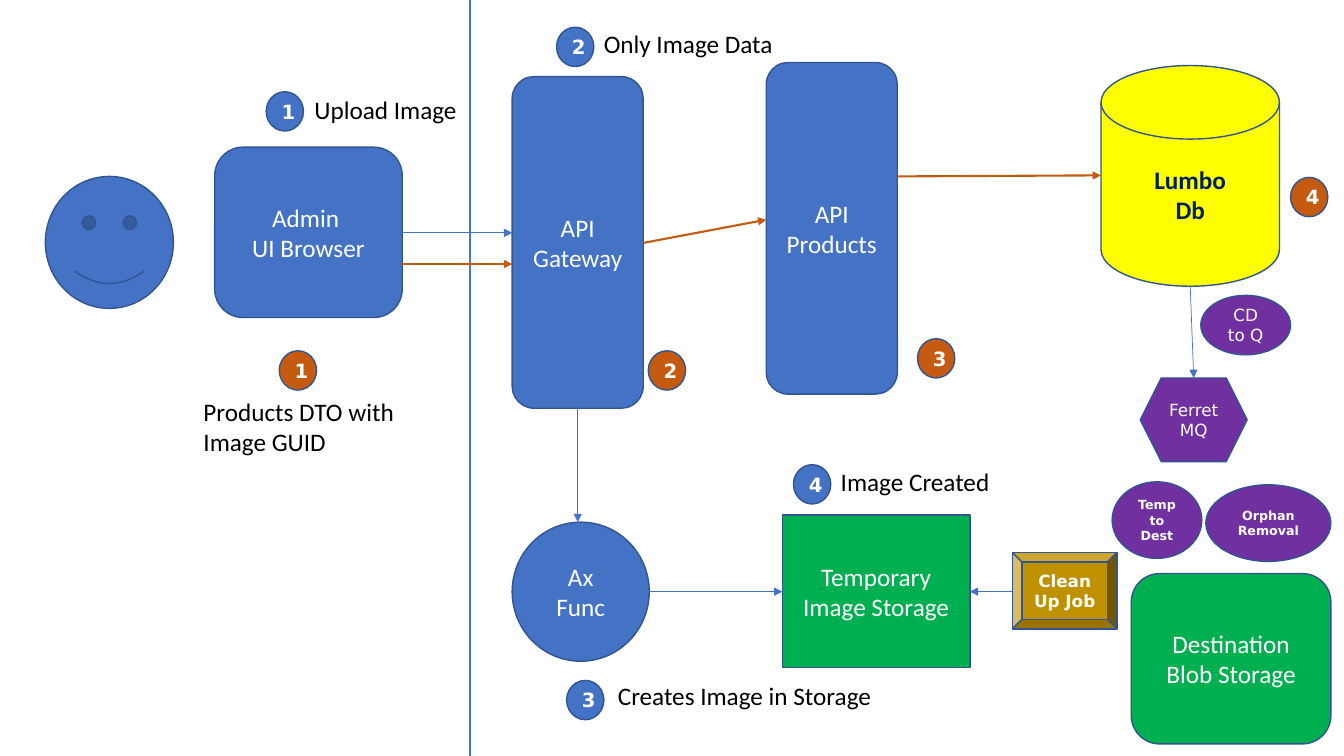
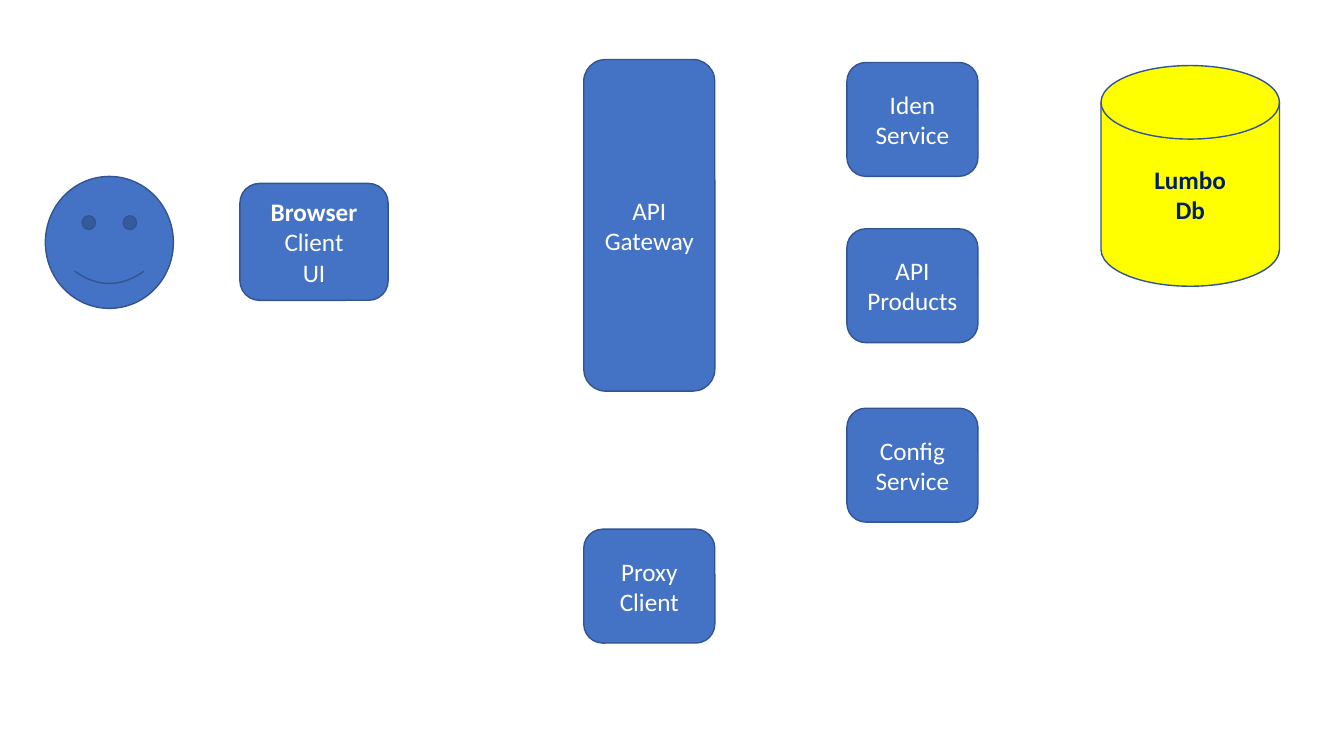
import dataclasses

import pptx
import pptx.dml.color
import pptx.enum.shapes
import pptx.enum.text
import pptx.oxml.ns
import pptx.util
from lxml import etree

SHAPE = pptx.enum.shapes.MSO_SHAPE
ALIGN = pptx.enum.text.PP_ALIGN
ANCHOR = pptx.enum.text.MSO_ANCHOR
Inches = pptx.util.Inches


@dataclasses.dataclass(frozen=True)
class Theme:
    blue: str = "4472C4"
    outline: str = "325491"
    orange: str = "C55A11"
    green: str = "00B050"
    yellow: str = "FFFF00"
    gold: str = "BF9000"
    purple: str = "7030A0"
    navy: str = "002060"
    white: str = "FFFFFF"
    black: str = "000000"
    body_font: str = "Calibri"
    badge_font: str = "DejaVu Sans"
    body_size: float = 18
    badge_size: float = 14
    job_size: float = 12
    note_size: float = 9
    outline_width: float = 1
    thin_line: float = 0.5
    thick_line: float = 1.5


@dataclasses.dataclass(frozen=True)
class Box:
    left: float
    top: float
    width: float
    height: float

    @property
    def right(self):
        return self.left + self.width

    @property
    def bottom(self):
        return self.top + self.height

    @property
    def center(self):
        return self.left + self.width / 2

    def lengths(self):
        return [Inches(value) for value in dataclasses.astuple(self)]

    def inside(self, left, top, width, height):
        """Box whose corner is measured from this box's corner."""
        return Box(self.left + left, self.top + top, width, height)


THEME = Theme()
SLIDE = Box(0, 0, 13.33, 7.5)
USER = Box(0.45, 1.75, 1.27, 1.31)
DATABASE = Box(10.92, 0.65, 1.77, 2.19)
TIER_SIZE = (1.3, 3.29)
SERVICE_SIZE = (1.3, 1.13)
BADGE_SIZE = (0.37, 0.39)


def rgb(color):
    return pptx.dml.color.RGBColor.from_string(color)


def write(shape, text, size, font, color, bold=False, align=ALIGN.CENTER):
    shape.text_frame.text = text
    for paragraph in shape.text_frame.paragraphs:
        paragraph.alignment = align
        for run in paragraph.runs:
            run.font.size = pptx.util.Pt(size)
            run.font.name = font
            run.font.color.rgb = rgb(color)
            run.font.bold = bold


def add_node(slide, kind, box, text="", fill=THEME.blue, size=THEME.body_size,
             font=THEME.body_font, color=THEME.white, bold=False):
    shape = slide.shapes.add_shape(kind, *box.lengths())
    shape.shadow.inherit = False
    shape.fill.solid()
    shape.fill.fore_color.rgb = rgb(fill)
    shape.line.color.rgb = rgb(THEME.outline)
    shape.line.width = pptx.util.Pt(THEME.outline_width)
    shape.text_frame.vertical_anchor = ANCHOR.MIDDLE
    if text:
        write(shape, text, size, font, color, bold)
    return shape


def add_service(slide, box, text):
    return add_node(slide, SHAPE.ROUNDED_RECTANGLE, box, text)


def add_job(slide, kind, box, text, fill=THEME.purple, size=THEME.job_size, bold=False):
    add_node(slide, kind, box, text, fill, size, THEME.badge_font, bold=bold)


def add_label(slide, box, text):
    label = slide.shapes.add_textbox(*box.lengths())
    label.text_frame.word_wrap = True
    write(label, text, THEME.body_size, THEME.body_font, THEME.black, align=ALIGN.LEFT)


def add_badge(slide, left, top, number, fill):
    add_node(slide, SHAPE.OVAL, Box(left, top, *BADGE_SIZE), str(number), fill,
             THEME.badge_size, THEME.badge_font, bold=True)


def add_line(slide, start, end, color=THEME.blue, width=THEME.thin_line, arrow=True):
    line = slide.shapes.add_connector(
        pptx.enum.shapes.MSO_CONNECTOR.STRAIGHT,
        *[Inches(value) for value in (*start, *end)])
    line.line.color.rgb = rgb(color)
    line.line.width = pptx.util.Pt(width)
    if arrow:
        outline = line.line._get_or_add_ln()
        etree.SubElement(outline, pptx.oxml.ns.qn("a:tailEnd"), type="triangle")
    etree.SubElement(line._element.spPr, pptx.oxml.ns.qn("a:effectLst"))


def add_user_and_database(slide):
    """Both ends of the system, shared by the slides."""
    add_node(slide, SHAPE.SMILEY_FACE, USER)
    add_node(slide, SHAPE.FLOWCHART_MAGNETIC_DISK, DATABASE, "Lumbo\nDb",
             THEME.yellow, color=THEME.navy, bold=True)


def add_queue_region(slide, area):
    """Queue and its jobs, between the database and the blob storage."""
    queue = area.inside(0.28, 0.91, 1.06, 0.83)
    add_job(slide, SHAPE.HEXAGON, queue, "Ferret MQ")
    add_line(slide, (DATABASE.center, DATABASE.bottom), (queue.center, queue.top))
    add_job(slide, SHAPE.OVAL, area.inside(0.88, 0.09, 0.89, 0.59), "CD to Q")
    for left, top, width, text in ((0, 1.94, 0.89, "Temp to Dest"),
                                   (0.93, 1.97, 1.24, "Orphan Removal")):
        add_job(slide, SHAPE.OVAL, area.inside(left, top, width, 0.76), text,
                size=THEME.note_size, bold=True)


def add_storage_region(slide, area):
    """Function, temporary storage, clean-up job and final storage."""
    function = area.inside(0, 0.07, 1.36, 1.38)
    temporary = area.inside(2.68, 0, 1.86, 1.51)
    cleanup = area.inside(4.96, 0.37, 1.04, 0.76)
    add_node(slide, SHAPE.OVAL, function, "Ax Func")
    add_node(slide, SHAPE.RECTANGLE, temporary, "Temporary Image Storage", THEME.green)
    add_job(slide, SHAPE.BEVEL, cleanup, "Clean Up Job", THEME.gold, bold=True)
    add_node(slide, SHAPE.ROUNDED_RECTANGLE, area.inside(6.14, 0.58, 1.98, 1.69),
             "Destination Blob Storage", THEME.green)
    flow = area.top + 0.76
    add_line(slide, (function.right, flow), (temporary.left, flow))
    add_line(slide, (cleanup.left, flow), (temporary.right, flow))
    return function


def add_steps(slide):
    """Numbered steps: blue for the image, orange for the product."""
    badges = {
        THEME.blue: ((2.64, 0.91), (5.52, 0.27), (5.62, 6.75), (7.87, 4.61)),
        THEME.orange: ((2.77, 3.48), (6.43, 3.48), (9.1, 3.36), (12.8, 1.76)),
    }
    for fill, corners in badges.items():
        for number, (left, top) in enumerate(corners, 1):
            add_badge(slide, left, top, number, fill)
    for box, text in (
        (Box(3.02, 0.89, 2.66, 0.4), "Upload Image"),
        (Box(5.89, 0.23, 2.66, 0.4), "Only Image Data"),
        (Box(6.03, 6.7, 3.14, 0.4), "Creates Image in Storage"),
        (Box(8.24, 4.58, 1.86, 0.4), "Image Created"),
        (Box(1.92, 3.88, 2.66, 0.71), "Products DTO with Image GUID"),
    ):
        add_label(slide, box, text)


def build_upload_slide(slide):
    browser = Box(2.13, 1.46, 1.86, 1.69)
    gateway = Box(5.08, 0.76, *TIER_SIZE)
    products = Box(7.6, 0.62, *TIER_SIZE)

    # Client side and server side
    add_user_and_database(slide)
    add_line(slide, (4.66, SLIDE.top), (4.66, SLIDE.bottom),
             width=THEME.thick_line, arrow=False)
    add_service(slide, browser, "Admin \nUI Browser")
    add_service(slide, gateway, "API Gateway")
    add_service(slide, products, "API Products")

    # Storage and queue
    function = add_storage_region(slide, Box(5.08, 5.11, 8.12, 2.27))
    add_queue_region(slide, Box(11.03, 2.84, 2.17, 2.73))

    # Image flow
    add_line(slide, (browser.right, 2.31), (gateway.left, 2.31))
    add_line(slide, (gateway.center, gateway.bottom), (gateway.center, function.top))

    # Product flow
    for start, end in (
        ((browser.right, 2.62), (gateway.left, 2.62)),
        ((gateway.right, 2.41), (products.left, 2.18)),
        ((products.right, 1.75), (DATABASE.left, 1.74)),
    ):
        add_line(slide, start, end, THEME.orange, THEME.thick_line)

    add_steps(slide)


def build_services_slide(slide):
    add_user_and_database(slide)

    # Browser, with its first line emphasised
    browser = add_service(slide, Box(2.38, 1.82, 1.47, 1.16), "Browser\nClient\nUI")
    browser.text_frame.paragraphs[0].runs[0].font.bold = True

    # Gateway column
    add_service(slide, Box(5.79, 0.59, *TIER_SIZE), "API Gateway")
    add_service(slide, Box(5.79, 5.25, *SERVICE_SIZE), "Proxy\nClient")

    # Service column
    for top, text in ((0.62, "Iden\nService"), (2.27, "API Products"),
                      (4.05, "Config\nService")):
        add_service(slide, Box(8.4, top, *SERVICE_SIZE), text)


def main():
    presentation = pptx.Presentation()
    presentation.slide_width = Inches(SLIDE.width)
    presentation.slide_height = Inches(SLIDE.height)
    blank_layout = presentation.slide_layouts[6]
    for build in (build_upload_slide, build_services_slide):
        build(presentation.slides.add_slide(blank_layout))
    presentation.save("out.pptx")


if __name__ == "__main__":
    main()
